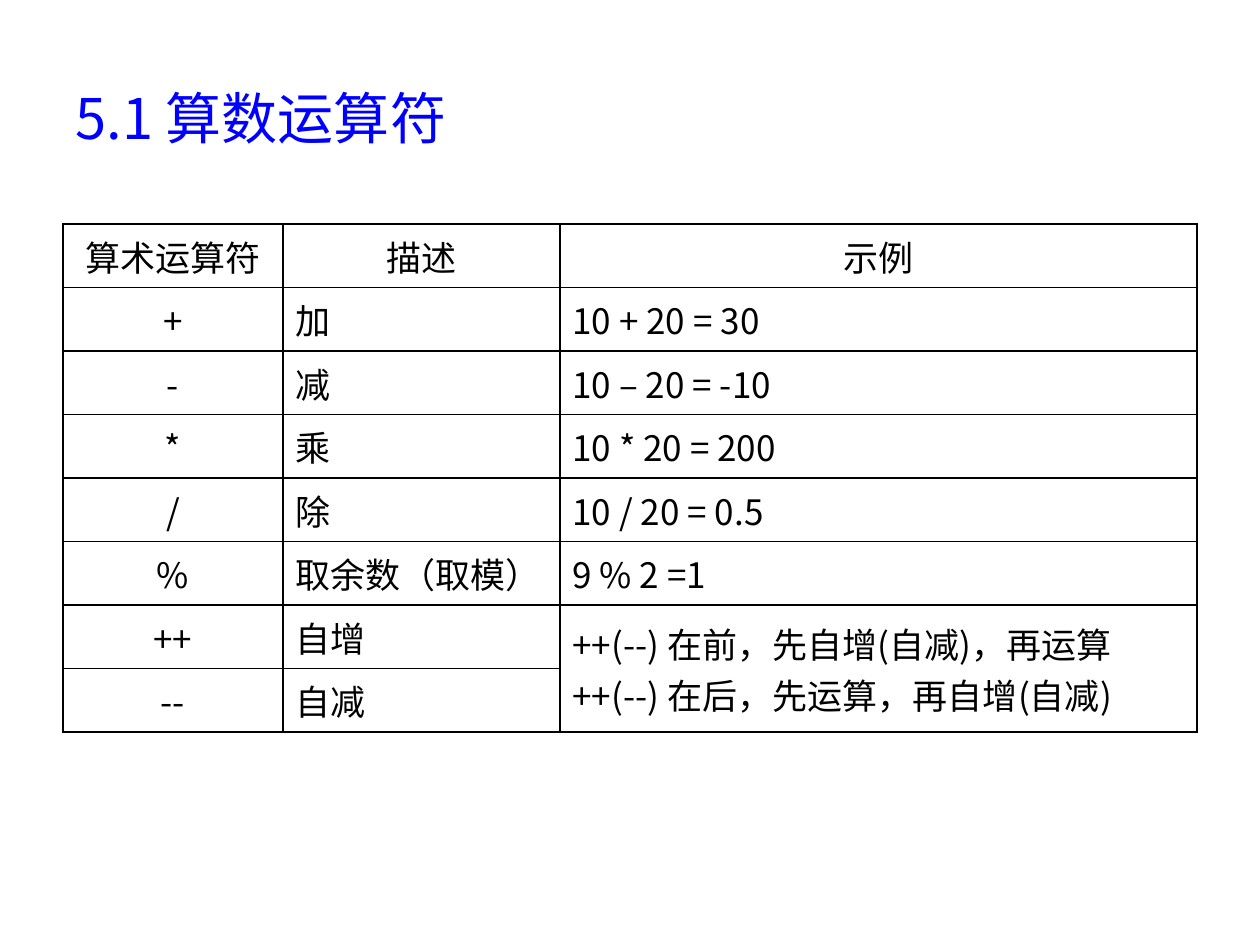
"""Build a slide with a table of arithmetic operators."""
from pptx import Presentation
from pptx.dml.color import RGBColor
from pptx.enum.text import MSO_ANCHOR as Anchor, PP_ALIGN as Align
from pptx.oxml.ns import qn
from pptx.util import Pt
from lxml.etree import SubElement

PX = 914400 / 126
FONT = "Noto Sans CJK SC"
COLUMNS = (220, 277, 637)
ROWS = (
    ("算术运算符", "描述", "示例"),
    ("+", "加", "10 + 20 = 30"),
    ("-", "减", "10 – 20 = -10"),
    ("*", "乘", "10 * 20 = 200"),
    ("/", "除", "10 / 20 = 0.5"),
    ("%", "取余数（取模）", "9 % 2 =1"),
    ("++", "自增", "++(--) 在前，先自增(自减)，再运算\n++(--) 在后，先运算，再自增(自减)"),
    ("--", "自减", ""),
)


def px(n):
    return round(n * PX)


def rgb(value):
    return RGBColor.from_string(value)


def format_text(tf, size, color, align):
    tf.vertical_anchor = Anchor.MIDDLE
    for p in tf.paragraphs:
        p.alignment = align
        for r in p.runs:
            r.font.size = Pt(size)
            r.font.name = FONT
            r.font.color.rgb = rgb(color)
            SubElement(r.font._element, qn("a:ea"), typeface=FONT)


def add_borders(cell, color, width):
    tcPr = cell._tc.get_or_add_tcPr()
    for side in ("lnL", "lnR", "lnT", "lnB"):
        ln = SubElement(tcPr, qn(f"a:{side}"), w=str(Pt(width)))
        fill = SubElement(ln, qn("a:solidFill"))
        SubElement(fill, qn("a:srgbClr"), val=color)


def place_title(slide, text, x, y, w, h):
    title = slide.shapes.title
    title.left, title.top, title.width, title.height = map(px, (x, y, w, h))
    title.text_frame.text = text
    format_text(title.text_frame, 32, "0000FF", Align.LEFT)


def place_table(slide, x, y, w, h):
    frame = slide.shapes.add_table(len(ROWS), len(COLUMNS), *map(px, (x, y, w, h)))
    table = frame.table
    table.first_row = table.horz_banding = False
    for column, share in zip(table.columns, COLUMNS):
        column.width = px(w * share / sum(COLUMNS))
    for i, row in enumerate(ROWS):
        for j, text in enumerate(row):
            cell = table.cell(i, j)
            add_borders(cell, "000000", 1)
            cell.fill.solid()
            cell.fill.fore_color.rgb = rgb("FFFFFF")
            cell.vertical_anchor = Anchor.MIDDLE
            cell.text_frame.text = text
            centred = i == 0 or j == 0
            format_text(cell.text_frame, 20, "000000", Align.CENTER if centred else Align.LEFT)
    table.cell(6, 2).merge(table.cell(7, 2))


prs = Presentation()
prs.slide_width, prs.slide_height = px(1260), px(945)
slide = prs.slides.add_slide(prs.slide_layouts[5])
place_title(slide, "5.1 算数运算符", 63, 38, 1134, 158)
place_table(slide, 63, 224, 1134, 508)
prs.save("out.pptx")
